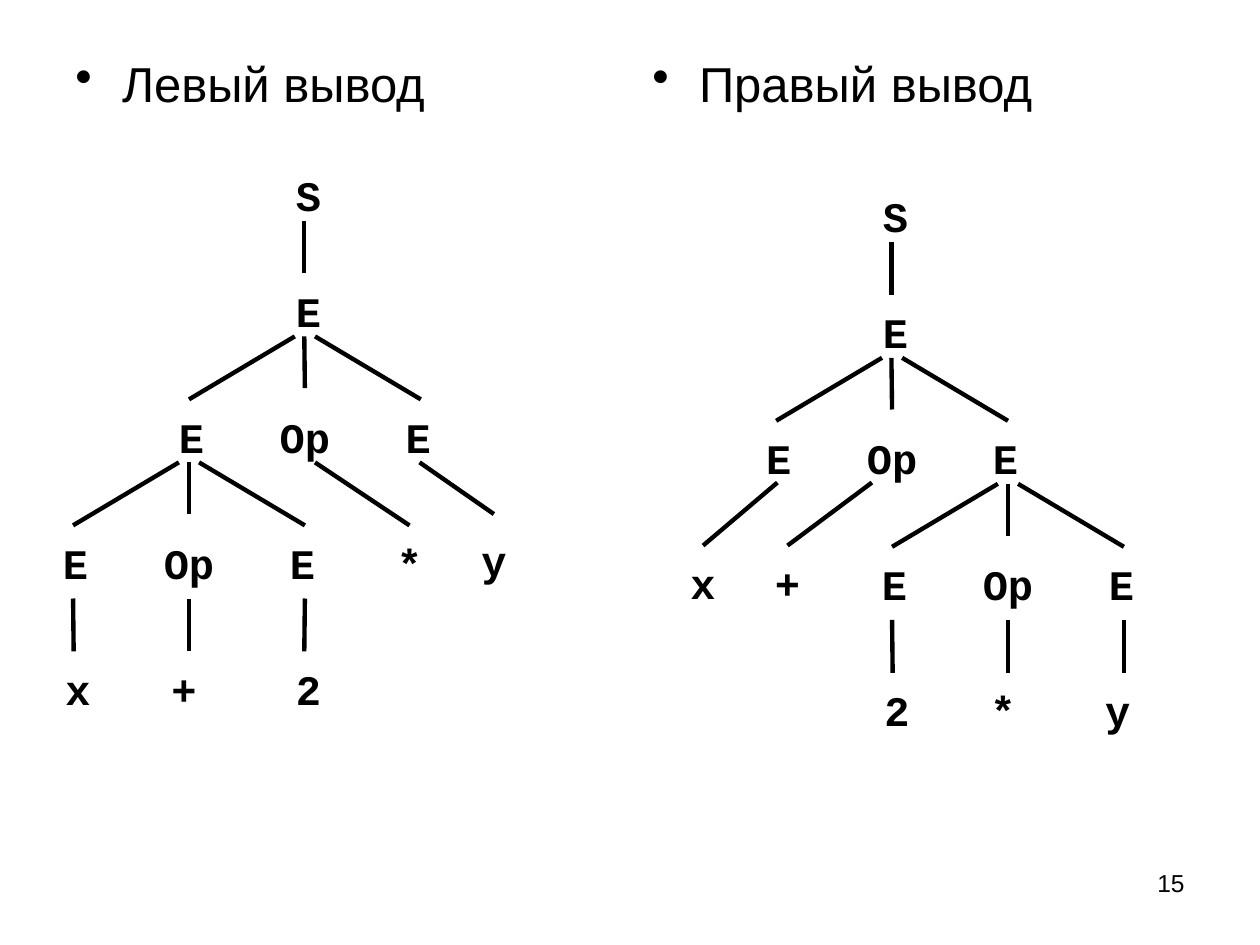
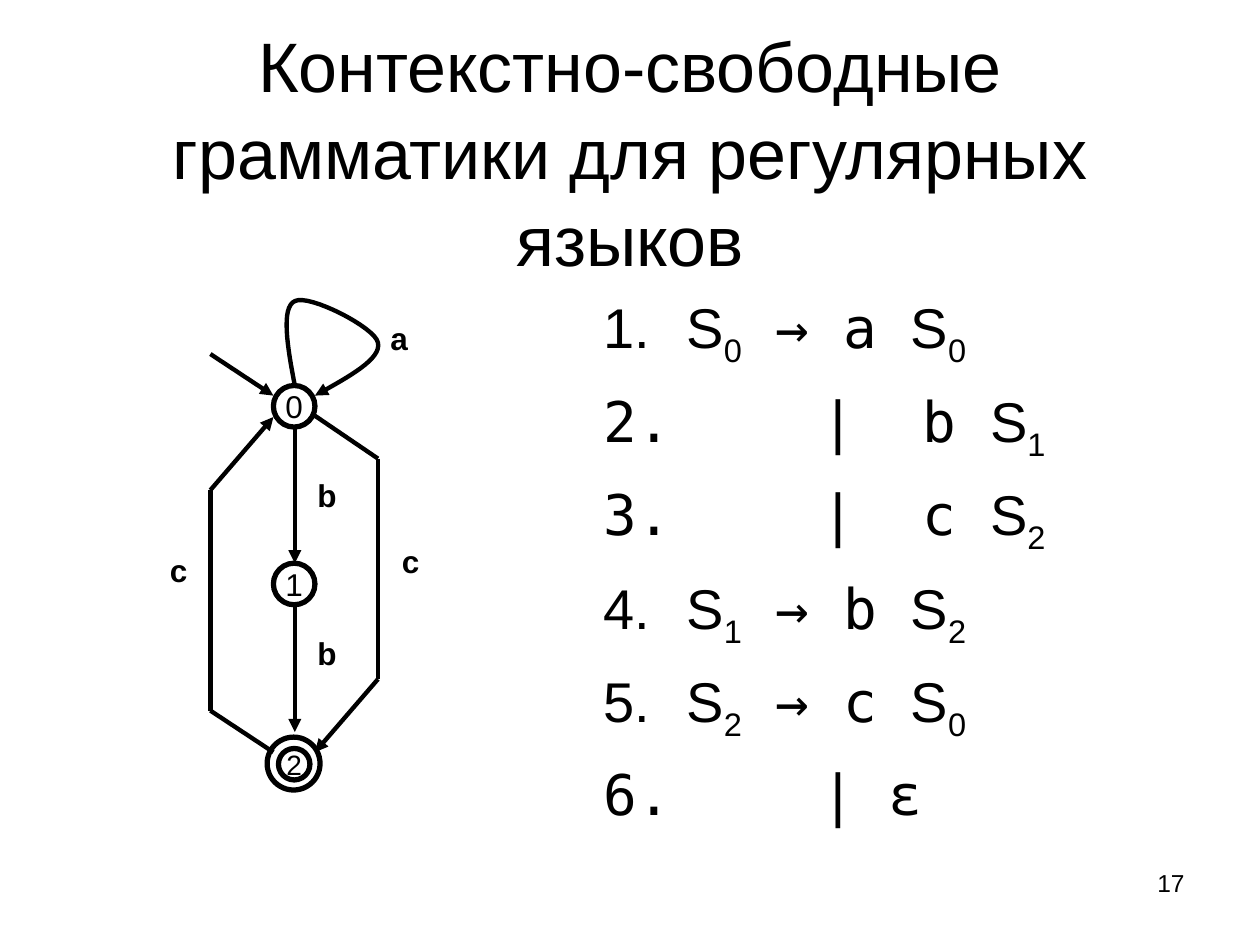
from lxml.etree import SubElement
from pptx import Presentation
from pptx.dml.color import RGBColor
from pptx.enum.shapes import MSO_CONNECTOR, MSO_SHAPE
from pptx.enum.text import MSO_ANCHOR, PP_ALIGN
from pptx.oxml.ns import qn
from pptx.util import Inches, Pt

COLORS = {"ink": "000000", "paper": "FFFFFF"}
INK = RGBColor.from_string(COLORS["ink"])
NODE = {"name": "Courier New", "size": Pt(24), "bold": True}
HEADING = {"name": "Arial", "size": Pt(28)}
TITLE = {"name": "Arial", "size": Pt(40)}
NUMBER = {"name": "Arial", "size": Pt(14)}
LABEL = {"name": "Arial", "size": Pt(18), "bold": True}
SYMBOL = {"name": "Arial", "size": Pt(32)}
TERMINAL = {"name": "DejaVu Sans Mono", "size": Pt(32)}
LINE_SPACING = 1.04


def add_text(slide, text, box, style, align=PP_ALIGN.LEFT, top=0.05, left=0.1):
    """Add a one-paragraph text box; box is left, top, width, height in inches."""
    shape = slide.shapes.add_textbox(*[Inches(value) for value in box])
    frame = shape.text_frame
    frame.word_wrap = True
    frame.margin_top, frame.margin_left = Inches(top), Inches(left)
    paragraph = frame.paragraphs[0]
    paragraph.alignment = align
    paragraph.line_spacing = LINE_SPACING
    if text:
        run = paragraph.add_run()
        run.text = text
        run.font.color.rgb = INK
        for name, value in style.items():
            setattr(run.font, name, value)
    return shape


def add_line(slide, start, end, source=None, target=None, arrow=False):
    """Draw a line, joined to the bottom of source and the top of target."""
    points = [Inches(value) for value in (*start, *end)]
    line = slide.shapes.add_connector(MSO_CONNECTOR.STRAIGHT, *points)
    line.line.color.rgb = INK
    line.line.width = Pt(2.5)
    if source is not None:
        line.begin_connect(source, 2)
    if target is not None:
        line.end_connect(target, 0)
    if arrow:
        SubElement(line.line._get_or_add_ln(), qn("a:tailEnd"), type="triangle")
    SubElement(line._element.spPr, qn("a:effectLst"))


presentation = Presentation()
presentation.slide_width, presentation.slide_height = Inches(10), Inches(7.5)

# Slides with their numbers
slides = []
for number in ("15", "17"):
    slide = presentation.slides.add_slide(presentation.slide_layouts[6])
    slide.background.fill.solid()
    slide.background.fill.fore_color.rgb = RGBColor.from_string(COLORS["paper"])
    add_text(slide, number, (7.17, 6.83, 2.33, 0.52), NUMBER, PP_ALIGN.RIGHT)
    slides.append(slide)
tree_slide, automaton_slide = slides

# Headings of the two derivations
for text, left, height in (("Левый вывод", 0.5, 0.67), ("Правый вывод", 5.08, 6.37)):
    shape = add_text(tree_slide, text, (left, 0.33, 4.42, height), HEADING, top=0.08)
    properties = shape.text_frame.paragraphs[0]._p.get_or_add_pPr()
    properties.set("marL", str(Inches(0.37)))
    properties.set("indent", str(-Inches(0.37)))
    SubElement(properties, qn("a:buChar"), char="•")

# Derivation trees: root, subtree centre, leaves (text, left, width, joined),
# side leaves (text, left, top, line start, line end, joined)
trees = [
    ((2.42, 1.25), 1.5,
     [("x", 0.42, 0.33, True), ("+", 1.17, 0.58, False), ("2", 2.25, 0.33, True)],
     [("*", 3, 4.17, (2.5, 3.67), (3.25, 4.17), True),
      ("y", 3.67, 4.15, (3.33, 3.67), (3.92, 4.08), False)]),
    ((7.08, 1.42), 8,
     [("2", 6.92, 0.33, True), ("*", 7.67, 0.58, False), ("y", 8.58, 0.58, False)],
     [("x", 5.33, 4.33, (6.17, 3.83), (5.58, 4.33), True),
      ("+", 6, 4.33, (6.92, 3.83), (6.25, 4.33), True)]),
]
for (center, top), subtree, leaves, side_leaves in trees:
    root, expression = [
        add_text(tree_slide, text, (center - 0.17, y, 0.33, 0.5), NODE, top=0.08)
        for text, y in (("S", top), ("E", top + 0.92))]
    add_line(tree_slide, (center, top + 0.5), (center, top + 0.92), root, expression)

    # Both forks: three branches above a row of three nodes
    for x, y, parent in ((center, top + 1.42, expression), (subtree, top + 2.42, None)):
        row = add_text(tree_slide, "E\tOp\tE", (x - 1.25, y + 0.5, 2.5, 0.5), NODE,
                       top=0.08, left=0.25)
        properties = row.text_frame.paragraphs[0]._p.get_or_add_pPr()
        tabs = SubElement(properties, qn("a:tabLst"))
        for position in (0.8, 1.8):
            SubElement(tabs, qn("a:tab"), pos=str(Inches(position)), algn="l")
        add_line(tree_slide, (x, y), (x, y + 0.41), parent)
        for side in (-1, 1):
            add_line(tree_slide, (x + side * 0.08, y), (x + side * 0.92, y + 0.5))

    # Leaves under the subtree
    for column, (text, left, width, joined) in enumerate(leaves, -1):
        x, y = subtree + column * 0.92, top + 3.92
        align = PP_ALIGN.LEFT if width < 0.4 else PP_ALIGN.CENTER
        leaf = add_text(tree_slide, text, (left, y, width, 0.5), NODE, align, top=0.08)
        add_line(tree_slide, (x, y - 0.42), (x, y), target=leaf if joined else None)

    for text, left, y, start, end, joined in side_leaves:
        leaf = add_text(tree_slide, text, (left, y, 0.5, 0.5), NODE, PP_ALIGN.CENTER, top=0.08)
        add_line(tree_slide, start, end, target=leaf if joined else None)

# Title of the grammar slide
title = add_text(automaton_slide, "Контекстно-свободные грамматики для регулярных языков",
                 (0.5, 0.14, 9, 2.1), TITLE, PP_ALIGN.CENTER)
title.text_frame.vertical_anchor = MSO_ANCHOR.MIDDLE

# Numbered rules: left side (None continues the choice), terminal, right side
rules = [("0", " → a ", "0"), (None, "b ", "1"), (None, "c ", "2"),
         ("1", " → b ", "2"), ("2", " → c ", "0"), (None, "ε", None)]
grammar = add_text(automaton_slide, "", (4.69, 2.25, 4.9, 4.95), SYMBOL).text_frame
for index, (source, terminal, target) in enumerate(rules):
    paragraph = grammar.add_paragraph() if index else grammar.paragraphs[0]
    paragraph.line_spacing = LINE_SPACING
    if index:
        paragraph.space_before = Pt(8)
    indent = Inches(0.66 if source else 1.73)
    properties = paragraph._p.get_or_add_pPr()
    properties.set("marL", str(indent))
    properties.set("indent", str(-indent))
    SubElement(properties, qn("a:buFontTx"))
    SubElement(properties, qn("a:buAutoNum"), type="arabicPeriod")

    # Run: text, style, extra attributes
    parts = [("S", SYMBOL, {}), (source, SYMBOL, {"baseline": "-25000"})]
    if source is None:
        wide = {"spc": "1930"} if target else {}
        parts = [("|", TERMINAL, {}), (" ", TERMINAL, wide)]
    parts.append((terminal, TERMINAL, {}))
    if target:
        parts += [("S", SYMBOL, {}), (target, SYMBOL, {"baseline": "-25000"})]
    for text, style, extra in parts:
        run = paragraph.add_run()
        run.text = text
        run.font.color.rgb = INK
        for name, value in style.items():
            setattr(run.font, name, value)
        for name, value in extra.items():
            run._r.get_or_add_rPr().set(name, value)

# States of the automaton: text, left, top, diameter, text size
states = [("0", 2.17, 3.06, 0.33, 18), ("1", 2.17, 4.47, 0.33, 18),
          ("", 2.12, 5.85, 0.42, 18), ("2", 2.21, 5.94, 0.25, 16)]
for text, left, top, diameter, size in states:
    state = automaton_slide.shapes.add_shape(
        MSO_SHAPE.OVAL, *[Inches(value) for value in (left, top, diameter, diameter)])
    state.shadow.inherit = False
    state.fill.background()
    state.line.color.rgb = INK
    state.line.width = Pt(3)
    if text:
        frame = state.text_frame
        frame.word_wrap = False
        frame.vertical_anchor = MSO_ANCHOR.MIDDLE
        paragraph = frame.paragraphs[0]
        paragraph.alignment = PP_ALIGN.CENTER
        run = paragraph.add_run()
        run.text = text
        run.font.name, run.font.size = "Arial", Pt(size)
        run.font.color.rgb = INK

# Transitions: start, end, arrowhead
transitions = [
    ((1.67, 2.81), (2.17, 3.14), True),
    ((2.34, 3.39), (2.34, 4.47), True),
    ((2.34, 4.81), (2.34, 5.81), True),
    ((2.5, 3.3), (3, 3.64), False),
    ((3, 3.64), (3, 5.39), False),
    ((3, 5.39), (2.5, 5.97), True),
    ((2.17, 5.97), (1.67, 5.64), False),
    ((1.67, 5.64), (1.67, 3.89), False),
    ((1.67, 3.89), (2.17, 3.31), True),
]
for start, end, arrow in transitions:
    add_line(automaton_slide, start, end, arrow=arrow)

# Loop at state 0, sampled from cubic curves
curves = [((2.34, 3.06), (2.28, 2.75), (2.23, 2.44), (2.34, 2.39)),
          ((2.34, 2.39), (2.45, 2.33), (2.98, 2.6), (3, 2.72)),
          ((3, 2.72), (3.03, 2.85), (2.77, 2.99), (2.5, 3.14))]
STEPS = 16
points = []
for curve in curves:
    for step in range(1, STEPS + 1):
        t = step / STEPS
        weights = ((1 - t) ** 3, 3 * t * (1 - t) ** 2, 3 * t ** 2 * (1 - t), t ** 3)
        points.append([Inches(sum(weight * point[axis] for weight, point in zip(weights, curve)))
                       for axis in (0, 1)])
builder = automaton_slide.shapes.build_freeform(Inches(2.34), Inches(3.06))
builder.add_line_segments(points, close=False)
loop = builder.convert_to_shape()
loop.shadow.inherit = False
loop.fill.background()
loop.line.color.rgb = INK
loop.line.width = Pt(2.5)
SubElement(loop.line._get_or_add_ln(), qn("a:tailEnd"), type="triangle")

# Transition labels
for text, left, top in (("a", 3, 2.47), ("b", 2.42, 3.72), ("b", 2.42, 4.97),
                        ("c", 1.25, 4.31), ("c", 3.09, 4.24)):
    add_text(automaton_slide, text, (left, top, 0.42, 0.4), LABEL)

presentation.save("out.pptx")
